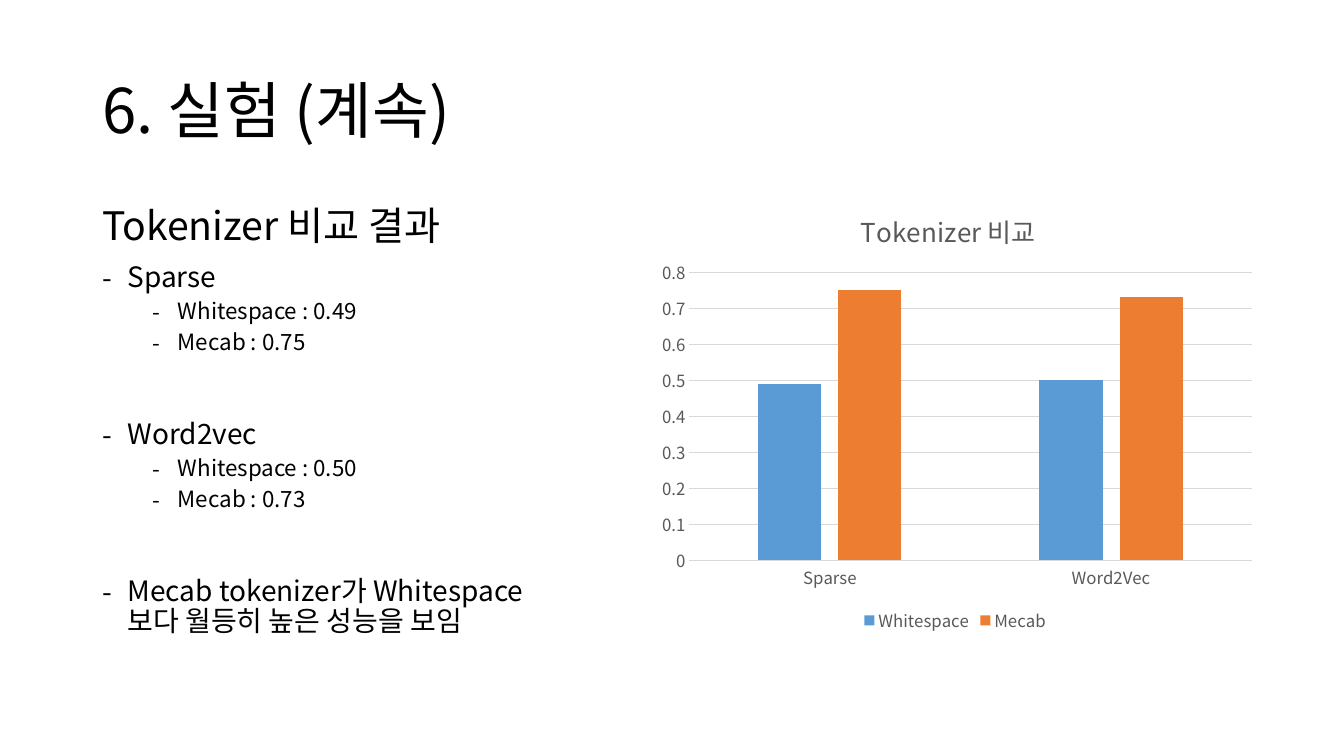
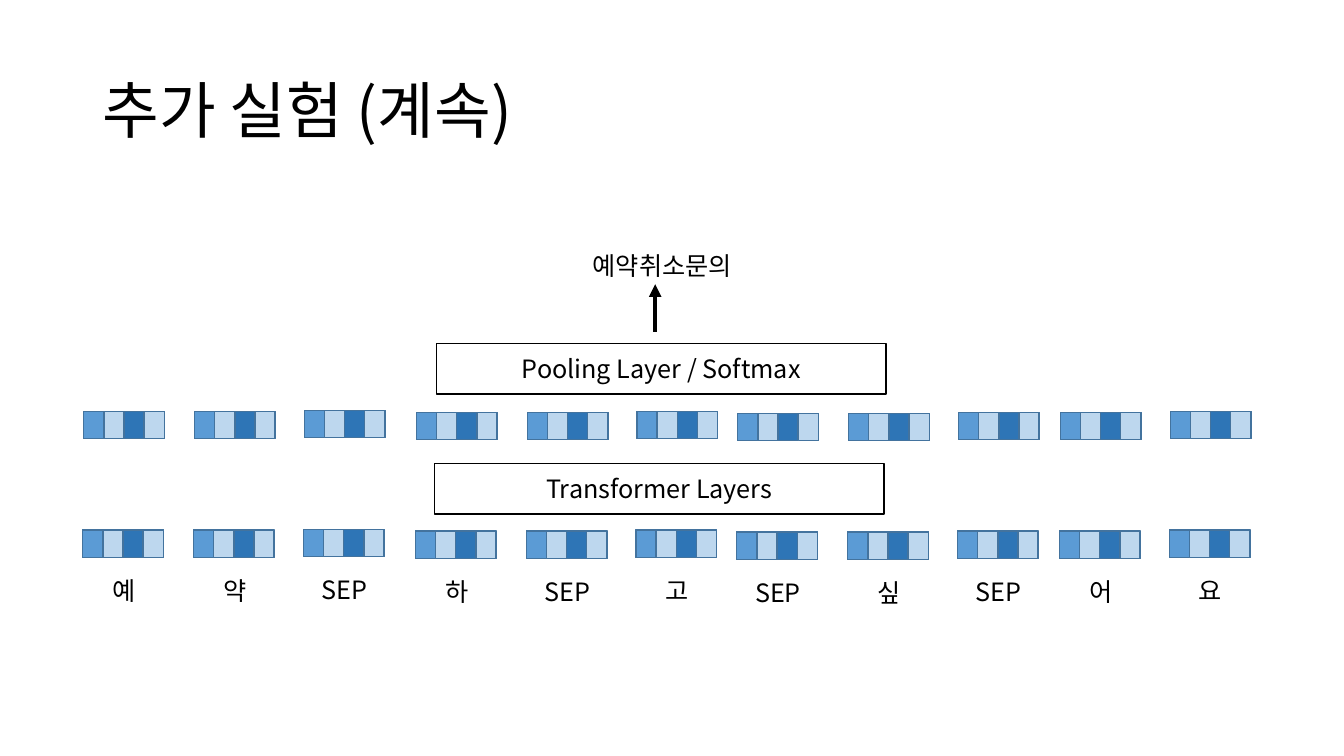
from dataclasses import dataclass

from lxml.etree import SubElement
from pptx import Presentation
from pptx.chart.data import CategoryChartData
from pptx.dml.color import RGBColor
from pptx.enum.chart import XL_CHART_TYPE, XL_LEGEND_POSITION, XL_TICK_MARK
from pptx.enum.shapes import MSO_CONNECTOR, MSO_SHAPE
from pptx.enum.text import MSO_ANCHOR, PP_ALIGN
from pptx.oxml.ns import qn
from pptx.util import Pt


@dataclass(frozen=True)
class Theme:
    font: str = "Noto Sans CJK KR"
    black: RGBColor = RGBColor(0, 0, 0)
    white: RGBColor = RGBColor(255, 255, 255)
    gray: RGBColor = RGBColor(0x59, 0x59, 0x59)
    grid: RGBColor = RGBColor(0xD9, 0xD9, 0xD9)
    edge: RGBColor = RGBColor(0x43, 0x73, 0x9E)
    blue: RGBColor = RGBColor(0x5B, 0x9B, 0xD5)
    pale: RGBColor = RGBColor(0xBD, 0xD7, 0xEE)
    deep: RGBColor = RGBColor(0x2E, 0x75, 0xB6)
    orange: RGBColor = RGBColor(0xED, 0x7D, 0x31)
    title: float = 44
    head: float = 28
    item: float = 20
    sub: float = 16
    label: float = 18
    chart: float = 18.6
    axis: float = 12


theme = Theme()


def ink(par, size, color=theme.black, align=PP_ALIGN.LEFT):
    """Format a paragraph's runs in both Latin and Korean type."""
    par.alignment = align
    for run in par.runs:
        run.font.name = theme.font
        run.font.size = Pt(size)
        run.font.color.rgb = color
        SubElement(run.font._element, qn("a:ea"), typeface=theme.font)


def rect(slide, left, top, width, height, line, fill=None):
    shape = slide.shapes.add_shape(
        MSO_SHAPE.RECTANGLE, Pt(left), Pt(top), Pt(width), Pt(height))
    shape.shadow.inherit = False
    shape.line.color.rgb = line
    shape.line.width = Pt(1)
    if fill is None:
        shape.fill.background()
    else:
        shape.fill.solid()
        shape.fill.fore_color.rgb = fill
    return shape


deck = Presentation()
deck.slide_width, deck.slide_height = Pt(960), Pt(540)

# Slides and titles
slides = []
for text in ("6. 실험 (계속)", "추가 실험 (계속)"):
    slide = deck.slides.add_slide(deck.slide_layouts[5])
    title = slide.shapes.title
    title.left, title.top = Pt(66), Pt(28.8)
    title.width, title.height = Pt(828), Pt(104.4)
    title.text_frame.text = text
    title.text_frame.vertical_anchor = MSO_ANCHOR.MIDDLE
    title.text_frame.paragraphs[0].line_spacing = 0.9
    ink(title.text_frame.paragraphs[0], theme.title)
    slides.append(slide)
result, model = slides

# Results list: text, size, left indent, space before
gap = 46
rows = [
    ("Tokenizer 비교 결과", theme.head, 0, 10),
    ("Sparse", theme.item, 18, 10),
    ("Whitespace : 0.49", theme.sub, 54, 5),
    ("Mecab : 0.75", theme.sub, 54, 5),
    ("Word2vec", theme.item, 18, gap),
    ("Whitespace : 0.50", theme.sub, 54, 5),
    ("Mecab : 0.73", theme.sub, 54, 5),
    ("Mecab tokenizer가 Whitespace 보다 월등히 높은 성능을 보임", theme.item, 18, gap),
]
body = result.shapes.add_textbox(Pt(66), Pt(144), Pt(350.6), Pt(349.2)).text_frame
body.word_wrap = True
body.text = "\n".join(row[0] for row in rows)
for par, (text, size, indent, before) in zip(body.paragraphs, rows):
    par.line_spacing = 0.9
    par.space_before = Pt(before)
    ink(par, size)
    if indent:
        props = par._p.get_or_add_pPr()
        props.set("marL", str(Pt(indent)))
        props.set("indent", str(-Pt(18)))
        SubElement(props, qn("a:buFont"), typeface=theme.font)
        SubElement(props, qn("a:buChar"), char="-")

# Results chart
data = CategoryChartData()
data.categories = ["Sparse", "Word2Vec"]
data.add_series("Whitespace", (0.49, 0.5))
data.add_series("Mecab", (0.75, 0.73))
chart = result.shapes.add_chart(
    XL_CHART_TYPE.COLUMN_CLUSTERED,
    Pt(461.5), Pt(133.2), Pt(441.4), Pt(321.8), data).chart
chart.font.name = theme.font
chart.font.size = Pt(theme.axis)
chart.font.color.rgb = theme.gray
chart.has_title = True
heading = chart.chart_title.text_frame
heading.text = "Tokenizer 비교"
ink(heading.paragraphs[0], theme.chart, theme.gray, PP_ALIGN.CENTER)
heading.paragraphs[0].runs[0].font.bold = False
chart.has_legend = True
chart.legend.position = XL_LEGEND_POSITION.BOTTOM
chart.legend.include_in_layout = False

plot = chart.plots[0]
plot.gap_width, plot.overlap = 219, -27
plot.vary_by_categories = False
for series, color in zip(plot.series, (theme.blue, theme.orange)):
    series.format.fill.solid()
    series.format.fill.fore_color.rgb = color

cats, vals = chart.category_axis, chart.value_axis
for axis in (cats, vals):
    axis.major_tick_mark = axis.minor_tick_mark = XL_TICK_MARK.NONE
vals.minimum_scale, vals.maximum_scale, vals.major_unit = 0, 0.8, 0.1
vals.format.line.fill.background()
for line in (cats.format.line, vals.major_gridlines.format.line):
    line.color.rgb = theme.grid
    line.width = Pt(0.75)

places = {
    "c:title": {"x": 0.34, "y": 0.04},
    "c:plotArea": {"layoutTarget": "inner", "xMode": "edge", "yMode": "edge",
                   "x": 0.07, "y": 0.19, "w": 0.91, "h": 0.64},
}
places["c:title"] = {"xMode": "edge", "yMode": "edge", **places["c:title"]}
for tag, place in places.items():
    part = chart._chartSpace.find(".//" + qn(tag))
    layout = part.find(qn("c:layout"))
    if layout is None:
        layout = SubElement(part, qn("c:layout"))
        part.insert(0, layout)
    manual = SubElement(layout, qn("c:manualLayout"))
    for key, value in place.items():
        SubElement(manual, qn("c:" + key), val=str(value))

# Token vectors: text, left edge, shift down
tokens = [
    ("예", 59.8, 0), ("약", 139, 0), ("SEP", 217.4, -0.7), ("하", 297.4, 0.7),
    ("SEP", 376.6, 0.7), ("고", 455, 0), ("SEP", 527, 1.4), ("싶", 606.2, 1.4),
    ("SEP", 684.7, 0.7), ("어", 757.4, 0.7), ("요", 835.9, 0),
]
cell, tall = 14.4, 19.6
labels = [("예약취소문의", 312.5, 172.1, 321.1)]
for text, left, shift in tokens:
    labels.append((text, left, 404.6 + shift, 57.6))
    for start, top in ((left - 0.7, 378.7), (left, 293.8)):
        rect(model, start, top + shift, 4 * cell, tall, theme.edge)
        for i, fill in enumerate((theme.blue, theme.pale, theme.deep, theme.pale)):
            rect(model, start + i * cell, top + shift, cell, tall, theme.edge, fill)

for text, left, top, width in labels:
    frame = model.shapes.add_textbox(Pt(left), Pt(top), Pt(width), Pt(34.6)).text_frame
    frame.word_wrap = True
    frame.vertical_anchor = MSO_ANCHOR.MIDDLE
    frame.text = text
    ink(frame.paragraphs[0], theme.label, align=PP_ALIGN.CENTER)

# Layers and output arrow
for text, left, top in (("Transformer Layers", 310.4, 331.2),
                        ("Pooling Layer / Softmax", 311.8, 245.5)):
    layer = rect(model, left, top, 321.1, 36, theme.black, theme.white)
    layer.text_frame.text = text
    layer.text_frame.vertical_anchor = MSO_ANCHOR.MIDDLE
    ink(layer.text_frame.paragraphs[0], theme.label, align=PP_ALIGN.CENTER)

arrow = model.shapes.add_connector(
    MSO_CONNECTOR.STRAIGHT, Pt(468), Pt(236.9), Pt(468), Pt(203))
arrow.line.color.rgb = theme.black
arrow.line.width = Pt(3)
SubElement(arrow.line._get_or_add_ln(), qn("a:tailEnd"), type="triangle")
SubElement(arrow._element.spPr, qn("a:effectLst"))

deck.save("out.pptx")
